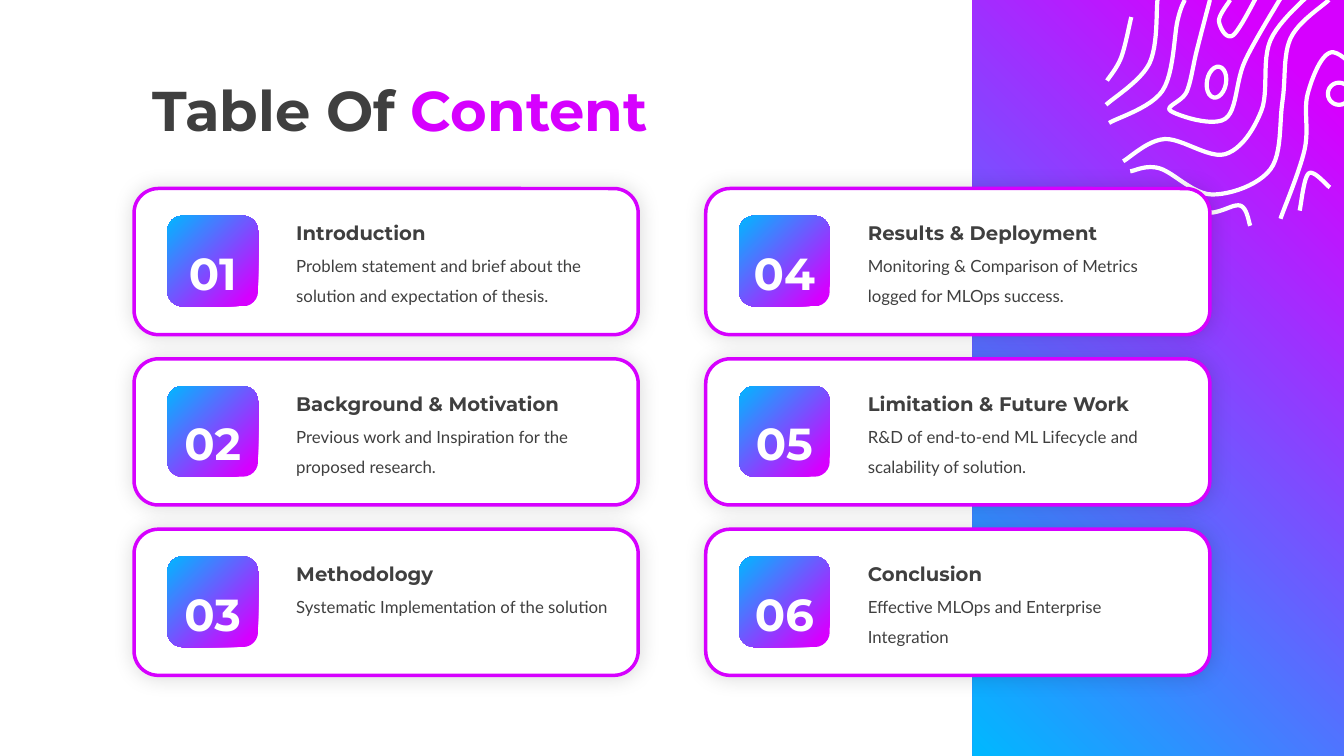
"""Build a table of contents slide with six numbered cards beside a gradient panel."""
from lxml import etree
from pptx import Presentation
from pptx.dml.color import RGBColor
from pptx.enum.shapes import MSO_SHAPE
from pptx.enum.text import MSO_ANCHOR, MSO_AUTO_SIZE, PP_ALIGN
from pptx.oxml.ns import qn
from pptx.util import Inches, Pt

ROUNDED = MSO_SHAPE.ROUNDED_RECTANGLE
RECTANGLE, OVAL = MSO_SHAPE.RECTANGLE, MSO_SHAPE.OVAL
LEFT, CENTER = PP_ALIGN.LEFT, PP_ALIGN.CENTER
MIDDLE = MSO_ANCHOR.MIDDLE
GROW = MSO_AUTO_SIZE.SHAPE_TO_FIT_TEXT
color = RGBColor.from_string
MAGENTA, CYAN, WHITE, GRAY = "D600FF", "00B8FF", "FFFFFF", "3F3F3F"

SLIDE_WIDTH, SLIDE_HEIGHT = 13.33, 7.5
PANEL_LEFT = 9.65
GRID_LEFT, GRID_TOP = 1.33, 1.87
COLUMN_STEP, ROW_STEP, ROWS = 5.67, 1.69, 3
CARD_WIDTH, CARD_HEIGHT, BADGE = 5, 1.45, 0.9
CURVE_STEPS = 12

CARDS = [
    ("Introduction", "Problem statement and brief about the solution and expectation of thesis."),
    ("Background & Motivation", "Previous work and Inspiration for the proposed research."),
    ("Methodology", "Systematic Implementation of the solution"),
    ("Results & Deployment", "Monitoring & Comparison of Metrics logged for MLOps success."),
    ("Limitation & Future Work", "R&D of end-to-end ML Lifecycle and scalability of solution."),
    ("Conclusion", "Effective MLOps and Enterprise Integration"),
]

CONTOURS = [
    [(12.2, 0), (12.09, 0.21), (12.23, 0.35), (12.5, -0.1)],
    [(12, 0), (11.87, 0.5), (11.77, 0.91), (11.61, 1.1), (12.15, 1.18), (12.35, 0.6), (12.75, -0.1)],
    [(10.98, 0.8), (11.12, 0.57), (11.22, 0.17)],
    [(12.89, 2.09), (12.98, 1.72), (13.19, 1.86)],
    [(10.97, 1.04), (11.4, 0.63), (11.48, 0)],
    [(12.7, 2.17), (12.94, 1.48), (12.97, 0.93), (13.2, 0.52), (13.56, 0.79)],
    [(11, 1.22), (11.53, 0.9), (11.68, 0.2), (11.75, 0)],
    [(11.14, 1.6), (11.55, 1.38), (12.15, 1.53), (12.51, 1.1), (12.6, 0.4), (13.03, -0.1)],
    [(11.21, 1.7), (11.5, 1.67), (12.02, 1.93), (12.6, 1.68), (12.72, 1), (12.8, 0.38), (13.18, 0)],
    [(11.48, 1.97), (11.97, 2.11), (12.3, 2.04), (12.4, 2.24)],
]
RINGS = [(13.17, 0.82, 0.22, 0.22), (11.97, 0.66, 0.19, 0.31)]


def add_block(page, kind, left, top, width, height, angle=None):
    """Add a borderless shape, white or with the magenta to cyan gradient."""
    block = page.shapes.add_shape(kind, Inches(left), Inches(top), Inches(width), Inches(height))
    block.shadow.inherit = False
    block.line.fill.background()
    if angle is None:
        block.fill.solid()
        block.fill.fore_color.rgb = color(WHITE)
        return block
    block.fill.gradient()
    block.fill.gradient_angle = angle
    for stop, position, shade in zip(block.fill.gradient_stops, (0.1, 1), (MAGENTA, CYAN)):
        stop.position = position
        stop.color.rgb = color(shade)
    return block


def add_text(page, text, left, top, width, height, font, size, shade, align=LEFT, spacing=1.5):
    """Add a wrapped text box with one paragraph; Montserrat is set in bold."""
    box = page.shapes.add_textbox(Inches(left), Inches(top), Inches(width), Inches(height))
    box.text_frame.word_wrap = True
    para = box.text_frame.paragraphs[0]
    para.alignment = align
    para.line_spacing = spacing
    para.font.name = font
    para.font.size = Pt(size)
    para.font.bold = font == "Montserrat"
    para.font.color.rgb = color(shade)
    para.add_run().text = text
    return box


deck = Presentation()
deck.slide_width, deck.slide_height = Inches(SLIDE_WIDTH), Inches(SLIDE_HEIGHT)
page = deck.slides.add_slide(deck.slide_layouts[6])

add_block(page, RECTANGLE, PANEL_LEFT, 0, SLIDE_WIDTH - PANEL_LEFT, SLIDE_HEIGHT, 225)

start_x, start_y = CONTOURS[0][0]
builder = page.shapes.build_freeform(Inches(start_x), Inches(start_y))
for points in CONTOURS:
    padded = [points[0], *points, points[-1]]
    curve = []
    for a, b, c, d in zip(padded, padded[1:], padded[2:], padded[3:]):
        for step in range(1, CURVE_STEPS + 1):
            t = step / CURVE_STEPS
            curve.append(tuple(
                Inches(q + t * (r - p) / 2 + t**2 * (2 * p - 5 * q + 4 * r - s) / 2
                       + t**3 * (3 * q - p - 3 * r + s) / 2)
                for p, q, r, s in zip(a, b, c, d)))
    builder.move_to(Inches(points[0][0]), Inches(points[0][1]))
    builder.add_line_segments(curve, close=False)
ornament = [builder.convert_to_shape()]
for ring in RINGS:
    ornament.append(add_block(page, OVAL, *ring))
ornament[-1].rotation = 10
for outline in ornament:
    outline.shadow.inherit = False
    outline.fill.background()
    outline.line.color.rgb = color(WHITE)
    outline.line.width = Pt(3)

title = add_text(page, "Table Of ", 1.41, 0.4, 11.5, 1.45, "Montserrat", 40, GRAY, spacing=0.9)
title.text_frame.vertical_anchor = MIDDLE
span = title.text_frame.paragraphs[0].add_run()
span.text = "Content"
span.font.color.rgb = color(MAGENTA)

for index, (heading, summary) in enumerate(CARDS):
    column, row = divmod(index, ROWS)
    left = GRID_LEFT + column * COLUMN_STEP
    top = GRID_TOP + row * ROW_STEP
    card = add_block(page, ROUNDED, left, top, CARD_WIDTH, CARD_HEIGHT)
    card.line.color.rgb = color(MAGENTA)
    card.line.width = Pt(2.5)
    effects = card.element.spPr.find(qn("a:effectLst"))
    shadow = etree.SubElement(effects, qn("a:outerShdw"), blurRad=str(Pt(15)), algn="ctr")
    black = etree.SubElement(shadow, qn("a:srgbClr"), val="000000")
    etree.SubElement(black, qn("a:alpha"), val="15000")

    add_block(page, ROUNDED, left + 0.33, top + 0.27, BADGE, BADGE, 135)
    labels = [
        add_text(page, summary, left + 1.51, top + 0.52, 3.34, 0.68, "Lato", 12, GRAY),
        add_text(page, heading, left + 1.51, top + 0.16, 3.24, 0.41, "Montserrat", 14, GRAY),
        add_text(page, f"{index + 1:02}", left + 0.33, top + 0.25, BADGE, 0.82,
                 "Montserrat", 32, WHITE, CENTER),
    ]
    for label in labels:
        label.text_frame.auto_size = GROW

deck.save("out.pptx")
